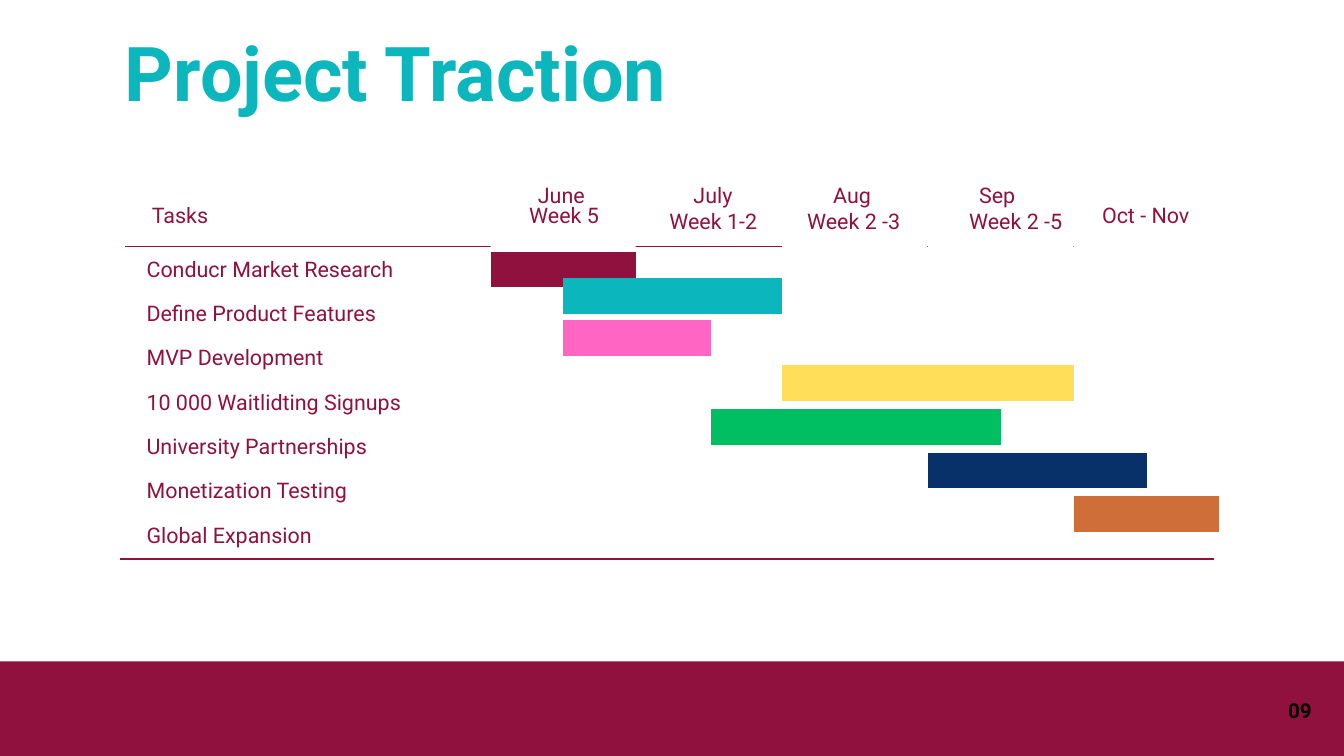
from pptx import Presentation
from pptx.dml.color import RGBColor
from pptx.enum.shapes import MSO_CONNECTOR as Connector, MSO_SHAPE as Shape
from pptx.enum.text import MSO_AUTO_SIZE as AutoSize, PP_ALIGN as Align
from pptx.oxml.ns import qn
from pptx.util import Pt
from lxml import etree

COLORS = {
    "white": "FFFFFF", "black": "000000", "burgundy": "90113E", "teal": "0BB6BC",
    "pink": "FF66C4", "yellow": "FFDE59", "green": "00BF63", "navy": "083169",
    "orange": "CF6E38",
}

# Timeline grid
TIMELINE_LEFT = 525.6
COLUMN = 156.2
HEADER_TOP, HEADER_HEIGHT = 194.4, 70.6
BAR_THICKNESS = 38.25
TASK_TOP, TASK_STEP = 269.3, 47.5
MONTH_TOP, WEEK_TOP = 190.8, 218.2
LABEL_HEIGHT = 31


def column_x(position):
    return TIMELINE_LEFT + position * COLUMN


class SlideBuilder:
    font = "Roboto"

    def __init__(self, slide):
        self.slide = slide

    @staticmethod
    def color(name):
        return RGBColor.from_string(COLORS[name])

    def rectangle(self, left, top, width, height, fill):
        shape = self.slide.shapes.add_shape(
            Shape.RECTANGLE, Pt(left), Pt(top), Pt(width), Pt(height))
        shape.shadow.inherit = False
        shape.fill.solid()
        shape.fill.fore_color.rgb = self.color(fill)
        shape.line.fill.background()

    def line(self, left, right, y, color="burgundy", weight=1.5):
        connector = self.slide.shapes.add_connector(
            Connector.STRAIGHT, Pt(left), Pt(y), Pt(right), Pt(y))
        connector.line.color.rgb = self.color(color)
        connector.line.width = Pt(weight)
        etree.SubElement(connector._element.spPr, qn("a:effectLst"))

    def text(self, words, left, top, width, height=LABEL_HEIGHT, size=23,
             spacing=32.2, color="burgundy", align=Align.CENTER, bold=False):
        box = self.slide.shapes.add_textbox(Pt(left), Pt(top), Pt(width), Pt(height))
        frame = box.text_frame
        frame.word_wrap = True
        frame.auto_size = AutoSize.SHAPE_TO_FIT_TEXT
        frame.margin_left = frame.margin_top = 0
        frame.margin_right = frame.margin_bottom = 0
        paragraph = frame.paragraphs[0]
        paragraph.alignment = align
        paragraph.line_spacing = Pt(spacing)
        run = paragraph.add_run()
        run.text = words
        run.font.name = self.font
        run.font.size = Pt(size)
        run.font.bold = bold
        run.font.color.rgb = self.color(color)


def main():
    presentation = Presentation()
    presentation.slide_width, presentation.slide_height = Pt(1440), Pt(810)
    slide = presentation.slides.add_slide(presentation.slide_layouts[6])
    builder = SlideBuilder(slide)

    # Table rules
    builder.line(133.9, 1306.1, 264.2)
    builder.line(128.2, 1300.3, 599)

    # Header cells
    for column in (0, 2, 3, 4):
        builder.rectangle(column_x(column), HEADER_TOP, 155.5, HEADER_HEIGHT, "white")

    # Column headings
    headings = [
        ("June", 541.4, MONTH_TOP, 120.2),
        ("July", 712.1, MONTH_TOP, 103.7),
        ("Aug ", 864, MONTH_TOP, 103.7),
        ("Sep", 1016.6, MONTH_TOP, 103.7),
        ("Oct - Nov", 1175.8, 212.4, 103.7),
        ("Week 5", 544.3, 212.4, 120.2),
        ("Week 1-2", 704.2, WEEK_TOP, 120.2),
        ("Week 2 -3 ", 857.5, WEEK_TOP, 120.2),
        ("Week 2 -5", 1028.2, WEEK_TOP, 120.2),
    ]
    for heading in headings:
        builder.text(*heading)

    # Task names
    builder.text("Tasks", 162.7, 212.4, 344.2, align=Align.JUSTIFY)
    tasks = [
        "Conducr Market Research", "Define Product Features", "MVP Development ",
        "10 000 Waitlidting Signups", "University Partnerships",
        "Monetization Testing", "Global Expansion",
    ]
    for row, task in enumerate(tasks):
        builder.text(task, 157, TASK_TOP + row * TASK_STEP, 350, align=Align.JUSTIFY)

    # Gantt bars: start and end in columns, centre height, colour
    bars = [
        (0, 1, 288.7, "burgundy"),
        (0.5, 2, 316.8, "teal"),
        (0.5, 1.51, 362.2, "pink"),
        (2, 4, 410.4, "yellow"),
        (1.51, 3.5, 457.2, "green"),
        (3, 4.5, 504, "navy"),
        (4, 5, 550.8, "orange"),
    ]
    for start, end, y, color in bars:
        builder.line(column_x(start), column_x(end), y, color, BAR_THICKNESS)

    # Title
    builder.text("Project Traction", 133.9, 27.4, 1160, 97.2, size=81, spacing=97.2,
                 color="teal", align=Align.LEFT, bold=True)

    # Footer band and page number
    builder.rectangle(0, 708.5, 1440, 101.5, "burgundy")
    builder.text("09", 1342.8, 746.6, 62.6, 27.4, size=22, spacing=27.5,
                 color="black", align=Align.RIGHT, bold=True)

    presentation.save("out.pptx")


if __name__ == "__main__":
    main()
